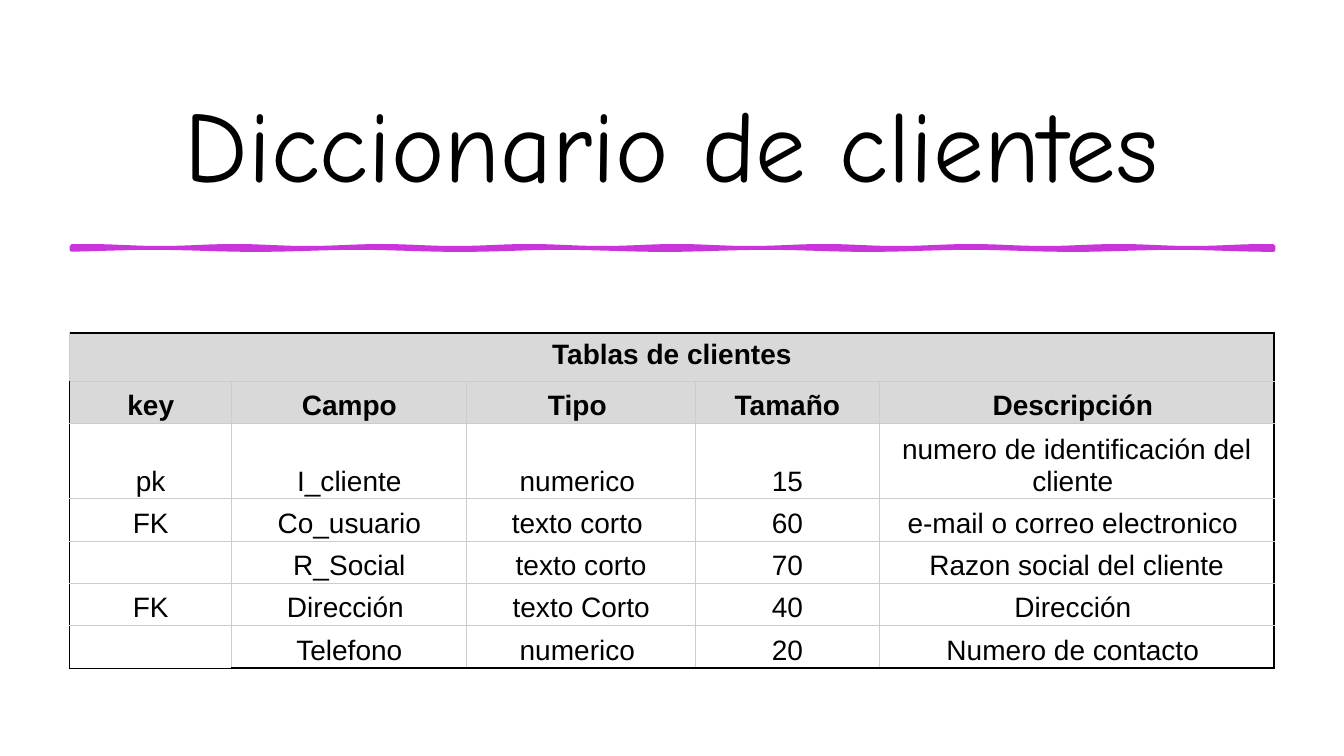
import math

from lxml import etree
from pptx import Presentation
from pptx import util as u
from pptx.dml.color import RGBColor
from pptx.enum import text
from pptx.oxml import ns

COLORS = {"ink": "000000", "header": "D9D9D9", "grid": "CCCCCC",
          "stroke": "CA35DB", "paper": "FFFFFF"}
THIN, THICK = 0.75, 1.5
TABLE_TITLE = "Tablas de clientes"
ROWS = [
    [TABLE_TITLE, "", "", "", ""],
    ["key", "Campo", "Tipo ", "Tamaño", "Descripción "],
    ["pk", "I_cliente", "numerico ", "15", "numero de identificación del cliente "],
    ["FK", "Co_usuario", "texto corto ", "60", "e-mail o correo electronico "],
    ["", "R_Social", "texto corto", "70", "Razon social del cliente"],
    ["FK", "Dirección ", "texto Corto", "40", "Dirección "],
    ["", "Telefono", "numerico ", "20", "Numero de contacto "],
]
COLUMN_WIDTHS = [1.61, 2.33, 2.27, 1.82, 3.92]
ROW_HEIGHTS = [0.48, 0.42, 0.75, 0.42, 0.42, 0.42, 0.42]


def color(name):
    return RGBColor.from_string(COLORS[name])


def add_border(cell, side, name, width):
    """Draw one side (L, R, T or B) of a cell; call before filling the cell."""
    line = etree.SubElement(cell._tc.get_or_add_tcPr(), ns.qn(f"a:ln{side}"),
                            w=str(u.Pt(width)))
    fill = etree.SubElement(line, ns.qn("a:solidFill"))
    etree.SubElement(fill, ns.qn("a:srgbClr"), val=COLORS[name])


presentation = Presentation()
presentation.slide_width = u.Inches(13.33)
presentation.slide_height = u.Inches(7.5)
slide = presentation.slides.add_slide(presentation.slide_layouts[5])
slide.background.fill.solid()
slide.background.fill.fore_color.rgb = color("paper")

# Title
title = slide.shapes.title
title_place = {"left": 0.69, "top": 0.69, "width": 11.94, "height": 1.44}
for name, value in title_place.items():
    setattr(title, name, u.Inches(value))
frame = title.text_frame
frame.text = "Diccionario de clientes"
frame.word_wrap = True
frame.auto_size = text.MSO_AUTO_SIZE.NONE
frame.vertical_anchor = text.MSO_ANCHOR.MIDDLE
paragraph = frame.paragraphs[0]
paragraph.alignment = text.PP_ALIGN.CENTER
for name, value in {"name": "Comic Neue", "size": u.Pt(72), "bold": False}.items():
    setattr(paragraph.font, name, value)
paragraph.font.color.rgb = color("ink")

# Hand-drawn rule: two wavy edges that drift apart and meet again
left, right, steps = 0.71, 12.63, 120
xs = [left + (right - left) * step / steps for step in range(steps + 1)]
lower = [(x, 2.47 + 0.01 * math.sin(3.1 * x)) for x in xs]
upper = [(x, 2.45 + 0.01 * math.sin(4.3 * x + 1)) for x in xs]
outline = [(u.Inches(x), u.Inches(y)) for x, y in lower + upper[::-1]]
builder = slide.shapes.build_freeform(*outline[0])
builder.add_line_segments(outline[1:], close=True)
rule = builder.convert_to_shape()
rule.shadow.inherit = False
rule.fill.solid()
rule.fill.fore_color.rgb = color("stroke")
rule.line.color.rgb = color("stroke")
rule.line.width = u.Pt(2.75)

# Table of fields
table = slide.shapes.add_table(
    len(ROWS), len(COLUMN_WIDTHS), u.Inches(0.69), u.Inches(3.3),
    u.Inches(sum(COLUMN_WIDTHS)), u.Inches(sum(ROW_HEIGHTS))).table
table.first_row = table.horz_banding = False
for column, width in zip(table.columns, COLUMN_WIDTHS):
    column.width = u.Inches(width)
for row, height in zip(table.rows, ROW_HEIGHTS):
    row.height = u.Inches(height)
table.cell(0, 0).merge(table.cell(0, len(COLUMN_WIDTHS) - 1))

last_row, last_column = len(ROWS) - 1, len(COLUMN_WIDTHS) - 1
for r, values in enumerate(ROWS):
    for c, value in enumerate(values):
        cell = table.cell(r, c)
        outer_sides = {
            "L": (c == 0 and r > 0, THIN),
            "R": (c == last_column or r == 0, THICK),
            "T": (r == 0, THICK),
            "B": (r == last_row, THICK if c else THIN),
        }
        for side, (outer, width) in outer_sides.items():
            add_border(cell, side, "ink" if outer else "grid", width if outer else THIN)
        if r < 2:
            cell.fill.solid()
            cell.fill.fore_color.rgb = color("header")
        else:
            cell.fill.background()
        inset_x, inset_y = (0.03, 0.02) if r else (0.11, 0.06)
        cell.margin_left = cell.margin_right = u.Inches(inset_x)
        cell.margin_top = cell.margin_bottom = u.Inches(inset_y)
        cell.vertical_anchor = text.MSO_ANCHOR.BOTTOM if r else text.MSO_ANCHOR.TOP
        if value:
            cell.text = value
        paragraph = cell.text_frame.paragraphs[0]
        paragraph.alignment = text.PP_ALIGN.CENTER
        for name, setting in {"name": "Arial", "size": u.Pt(20), "bold": r < 2}.items():
            setattr(paragraph.font, name, setting)
        paragraph.font.color.rgb = color("ink")

presentation.save("out.pptx")
